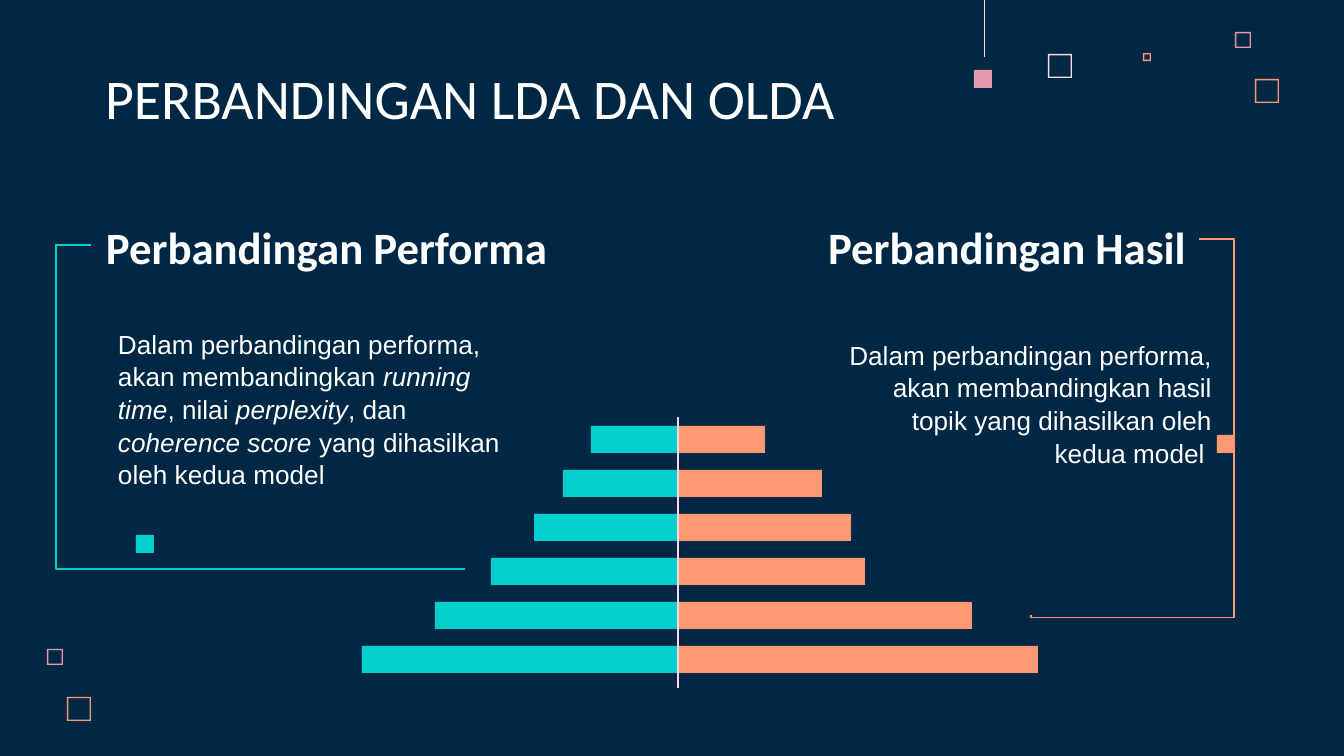
from lxml import etree
from pptx import Presentation
from pptx import util as u
from pptx.dml.color import RGBColor
from pptx.enum import shapes, text
from pptx.oxml.ns import qn

NAVY = RGBColor(0x00, 0x28, 0x45)
WHITE = RGBColor(0xFF, 0xFF, 0xFF)
TEAL = RGBColor(0x00, 0xCF, 0xCC)
ORANGE = RGBColor(0xFF, 0x99, 0x73)
ROSE = RGBColor(0xE8, 0x98, 0xAC)
BLUSH = RGBColor(0xFF, 0xD6, 0xE1)

WIDTH, HEIGHT = 1344, 756
INSET = 13
SQUARE = 18
LEFT, RIGHT = text.PP_ALIGN.LEFT, text.PP_ALIGN.RIGHT
TOP, BOTTOM = text.MSO_ANCHOR.TOP, text.MSO_ANCHOR.BOTTOM


def px(n):
    return u.Emu(round(n * 9144000 / WIDTH))


def place(sp, x, y, w, h):
    sp.left, sp.top, sp.width, sp.height = px(x), px(y), px(w), px(h)


def add_block(s, x, y, w, h, color, kind=shapes.MSO_SHAPE.RECTANGLE):
    sp = s.shapes.add_shape(kind, px(x), px(y), px(w), px(h))
    sp.shadow.inherit = False
    sp.fill.solid()
    sp.fill.fore_color.rgb = color
    sp.line.fill.background()
    return sp


def add_outline(s, x, y, size, color):
    sp = add_block(s, x, y, size, size, color, shapes.MSO_SHAPE.FRAME)
    sp.adjustments[0] = 1.35 / size


def add_line(s, x1, y1, x2, y2, color, width=0.75, kind=shapes.MSO_CONNECTOR.STRAIGHT):
    line = s.shapes.add_connector(kind, px(x1), px(y1), px(x2), px(y2))
    line.line.color.rgb = color
    line.line.width = u.Pt(width)
    etree.SubElement(line._element.spPr, qn("a:effectLst"))
    return line


def add_bracket(s, x1, y1, x2, y2, color, preset, adjustments):
    line = add_line(s, x1, y1, x2, y2, color, kind=shapes.MSO_CONNECTOR.ELBOW)
    geom = line._element.spPr.find(qn("a:prstGeom"))
    geom.set("prst", preset)
    guides = geom.find(qn("a:avLst"))
    if guides is None:
        guides = etree.SubElement(geom, qn("a:avLst"))
    for i, value in enumerate(adjustments, 1):
        etree.SubElement(guides, qn("a:gd"), name=f"adj{i}", fmla=f"val {value}")


def write(sp, runs, size, font, align=LEFT, anchor=TOP, bold=False, spacing=1.0):
    tf = sp.text_frame
    tf.word_wrap = True
    tf.auto_size = text.MSO_AUTO_SIZE.NONE
    tf.vertical_anchor = anchor
    tf.margin_left = tf.margin_right = tf.margin_top = tf.margin_bottom = px(INSET)
    p = tf.paragraphs[0]
    p.alignment = align
    p.line_spacing = spacing
    p.font.size = u.Pt(size)
    p.font.name = font
    p.font.bold = bold
    p.font.color.rgb = WHITE
    for words, italic in runs:
        r = p.add_run()
        r.text = words
        if italic:
            r.font.italic = True


def add_text(s, x, y, w, h, *args, **kwargs):
    write(s.shapes.add_textbox(px(x), px(y), px(w), px(h)), *args, **kwargs)


def add_title(s, x, y, w, h):
    sp = s.shapes.title
    place(sp, x, y, w, h)
    write(sp, [("PERBANDINGAN LDA DAN OLDA", False)], 30, "Calibri", anchor=BOTTOM)


def add_top_ornaments(s, x, y):
    for dx, dy, size, color in [(74, 54, 24, BLUSH), (261, 32, 16, ROSE),
                                (169, 53, 8, ORANGE), (281, 79, 24, ORANGE)]:
        add_outline(s, x + dx, y + dy, size, color)
    add_block(s, x, y + 70, SQUARE, SQUARE, ROSE)
    add_line(s, x + 10, y, x + 10, y + 57, BLUSH, 0.5)


def add_bottom_ornaments(s, x, y):
    add_outline(s, x, y, 16, ROSE)
    add_outline(s, x + 20, y + 48, 24, ORANGE)


def add_performance(s, x, y):
    add_text(s, x + 37, y, 498, 84, [("Perbandingan Performa", False)], 24,
             "Calibri", anchor=BOTTOM, bold=True)
    runs = [("Dalam perbandingan performa, akan membandingkan ", False),
            ("running time", True), (", nilai ", False), ("perplexity", True),
            (", dan ", False), ("coherence score ", True),
            ("yang dihasilkan oleh kedua model", False)]
    add_text(s, x + 49, y + 111, 415, 206, runs, 14, "Arial", spacing=1.04)
    add_bracket(s, x + 35, y + 42, x + 409, y + 366, TEAL, "bentConnector3", [-9400])
    add_block(s, x + 80, y + 332, SQUARE, SQUARE, TEAL)


def add_results(s, x, y):
    add_text(s, x, y, 398, 84, [("Perbandingan Hasil", False)], 24,
             "Calibri", RIGHT, BOTTOM, bold=True)
    runs = [("Dalam perbandingan performa, akan membandingkan hasil topik "
             "yang dihasilkan oleh kedua model ", False)]
    add_text(s, x + 22, y + 122, 402, 164, runs, 14, "Arial", RIGHT, spacing=1.04)
    add_bracket(s, x + 398, y + 36, x + 230, y + 412, ORANGE,
                "bentConnector4", [-20800, 100700])
    add_block(s, x + 416, y + 232, SQUARE, SQUARE, ORANGE)


def add_pyramid(s, x, y, w, h):
    teal_widths = [87, 115, 144, 187, 243, 316]
    orange_widths = [87, 144, 173, 187, 294, 360]
    axis = x + max(teal_widths)
    pitch, bar = 44, 27
    for i, (teal, orange) in enumerate(zip(teal_widths, orange_widths)):
        top = y + 9 + i * pitch
        add_block(s, axis - teal, top, teal, bar, TEAL)
        add_block(s, axis, top, orange, bar, ORANGE)
    add_line(s, axis, y, axis, y + h, BLUSH)


def main():
    prs = Presentation()
    prs.slide_width, prs.slide_height = px(WIDTH), px(HEIGHT)
    s = prs.slides.add_slide(prs.slide_layouts[5])
    s.background.fill.solid()
    s.background.fill.fore_color.rgb = NAVY
    add_top_ornaments(s, 974, 0)
    add_bottom_ornaments(s, 47, 649)
    add_title(s, 92, 60, 904, 84)
    add_performance(s, 56, 203)
    add_results(s, 801, 203)
    add_pyramid(s, 362, 417, 676, 271)
    prs.save("out.pptx")


if __name__ == "__main__":
    main()
